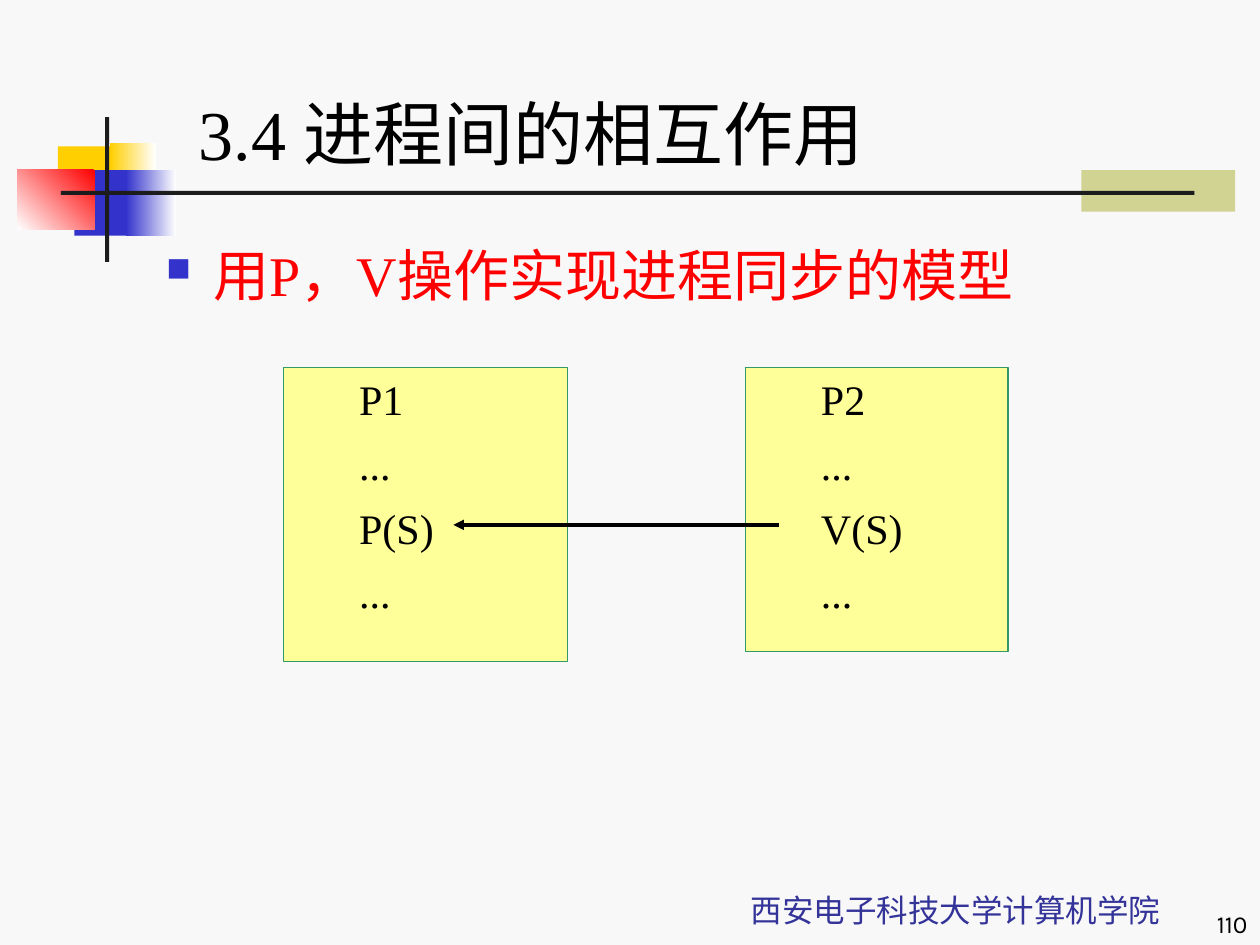
from pptx import Presentation
from pptx.dml.color import RGBColor
from pptx.enum.shapes import MSO_CONNECTOR, MSO_SHAPE
from pptx.enum.text import MSO_ANCHOR, PP_ALIGN
from pptx.oxml.ns import qn
from pptx.util import Cm, Pt
from lxml.etree import SubElement

BACKGROUND = RGBColor(0xF8, 0xF8, 0xF8)
BLACK = RGBColor(0, 0, 0)
WHITE = RGBColor(0xFF, 0xFF, 0xFF)
RED = RGBColor(0xFF, 0, 0)
BLUE = RGBColor(0x33, 0x33, 0xCC)
NAVY = RGBColor(0x33, 0x33, 0x99)
GOLD = RGBColor(0xFF, 0xCF, 0x01)
OLIVE = RGBColor(0xD1, 0xD3, 0x93)
CHARCOAL = RGBColor(0x1C, 0x1C, 0x1C)
YELLOW = RGBColor(0xFF, 0xFF, 0x99)
GREEN = RGBColor(0x33, 0x99, 0x66)

SERIF = "Times New Roman"
SANS = "Karla"
CHINESE = "Noto Sans CJK SC"


class SlideBuilder:
    def __init__(self, deck):
        self.page = deck.slides.add_slide(deck.slide_layouts[6])
        self.page.background.fill.solid()
        self.page.background.fill.fore_color.rgb = BACKGROUND

    def style(self, para, size, color, font):
        para.font.size = Pt(size)
        para.font.color.rgb = color
        para.font.name = font
        properties = para._p.pPr.find(qn("a:defRPr"))
        SubElement(properties, qn("a:ea")).set("typeface", CHINESE)

    def rectangle(self, left, top, width, height):
        box = self.page.shapes.add_shape(
            MSO_SHAPE.RECTANGLE, Cm(left), Cm(top), Cm(width), Cm(height))
        box.shadow.inherit = False
        box.line.fill.background()
        return box

    def block(self, place, color):
        box = self.rectangle(*place)
        box.fill.solid()
        box.fill.fore_color.rgb = color
        return box

    def fade(self, place, start, end, angle):
        box = self.rectangle(*place)
        box.fill.gradient()
        box.fill.gradient_angle = angle
        for stop, color in zip(box.fill.gradient_stops, (start, end)):
            stop.color.rgb = color

    def text(self, place, words, size, color, font=SERIF,
             align=PP_ALIGN.LEFT, anchor=MSO_ANCHOR.BOTTOM):
        left, top, width, height = place
        box = self.page.shapes.add_textbox(Cm(left), Cm(top), Cm(width), Cm(height))
        frame = box.text_frame
        frame.word_wrap = True
        frame.vertical_anchor = anchor
        para = frame.paragraphs[0]
        para.text = words
        para.alignment = align
        self.style(para, size, color, font)
        return para

    def bullet(self, place, words, size, color, bullet_color):
        para = self.text(place, words, size, color, anchor=MSO_ANCHOR.TOP)
        properties = para._p.get_or_add_pPr()
        properties.set("marL", str(Cm(0.95)))
        properties.set("indent", str(-Cm(0.95)))
        defaults = properties.find(qn("a:defRPr"))
        tint = SubElement(properties, qn("a:buClr"))
        SubElement(tint, qn("a:srgbClr")).set("val", str(bullet_color))
        SubElement(properties, qn("a:buSzPct")).set("val", "60000")
        SubElement(properties, qn("a:buChar")).set("char", "■")
        properties.append(defaults)

    def process(self, place, lines):
        box = self.block(place, YELLOW)
        box.line.color.rgb = GREEN
        box.line.width = Pt(0.75)
        frame = box.text_frame
        frame.vertical_anchor = MSO_ANCHOR.TOP
        for index, words in enumerate(lines):
            para = frame.add_paragraph() if index else frame.paragraphs[0]
            para.text = words
            para.level = 1
            para.alignment = PP_ALIGN.LEFT
            para.space_before = Pt(7 if index else 0)
            para.space_after = Pt(1)
            properties = para._p.get_or_add_pPr()
            properties.set("marL", str(Cm(2.06)))
            properties.set("indent", str(-Cm(0.79)))
            self.style(para, 24, BLACK, SERIF)

    def arrow(self, start, end, width):
        line = self.page.shapes.add_connector(
            MSO_CONNECTOR.STRAIGHT, *(Cm(value) for value in start + end))
        line.line.color.rgb = BLACK
        line.line.width = Pt(width)
        SubElement(line.line._get_or_add_ln(), qn("a:tailEnd")).set("type", "triangle")
        SubElement(line._element.spPr, qn("a:effectLst"))


def main():
    deck = Presentation()
    deck.slide_width, deck.slide_height = Cm(25.4), Cm(19.05)
    slide = SlideBuilder(deck)

    slide.block((21.8, 3.43, 3.1, 0.84), OLIVE)
    slide.block((1.17, 2.95, 1.22, 1.32), GOLD)
    slide.fade((2.22, 2.88, 0.92, 1.32), WHITE, GOLD, 180)
    slide.block((1.5, 3.43, 1.17, 1.32), BLUE)
    slide.fade((2.54, 3.43, 1.01, 1.32), WHITE, BLUE, 180)
    slide.fade((0.35, 3.42, 1.56, 1.2), RED, WHITE, 225)
    slide.block((2.12, 2.36, 0.08, 2.92), CHARCOAL)
    slide.block((1.23, 3.85, 22.85, 0.08), CHARCOAL)

    slide.text((13.55, 17.36, 11.43, 1.48), "西安电子科技大学计算机学院",
               18, NAVY, CHINESE, PP_ALIGN.CENTER)
    slide.text((20.11, 17.78, 5.29, 1.27), "110", 14, BLACK, SANS, PP_ALIGN.RIGHT)
    slide.text((3.76, 1.52, 21.64, 2.12), "3.4 进程间的相互作用", 40, BLACK)
    slide.bullet((3.1, 4.72, 21.59, 1.7), "用P，V操作实现进程同步的模型", 32, RED, BLUE)

    slide.process((5.72, 7.41, 5.72, 5.93), ("P1", "...", "P(S)", "..."))
    slide.process((15.03, 7.41, 5.29, 5.72), ("P2", "...", "V(S)", "..."))
    slide.arrow((15.7, 10.58), (9.14, 10.58), 2)

    deck.save("out.pptx")


if __name__ == "__main__":
    main()
